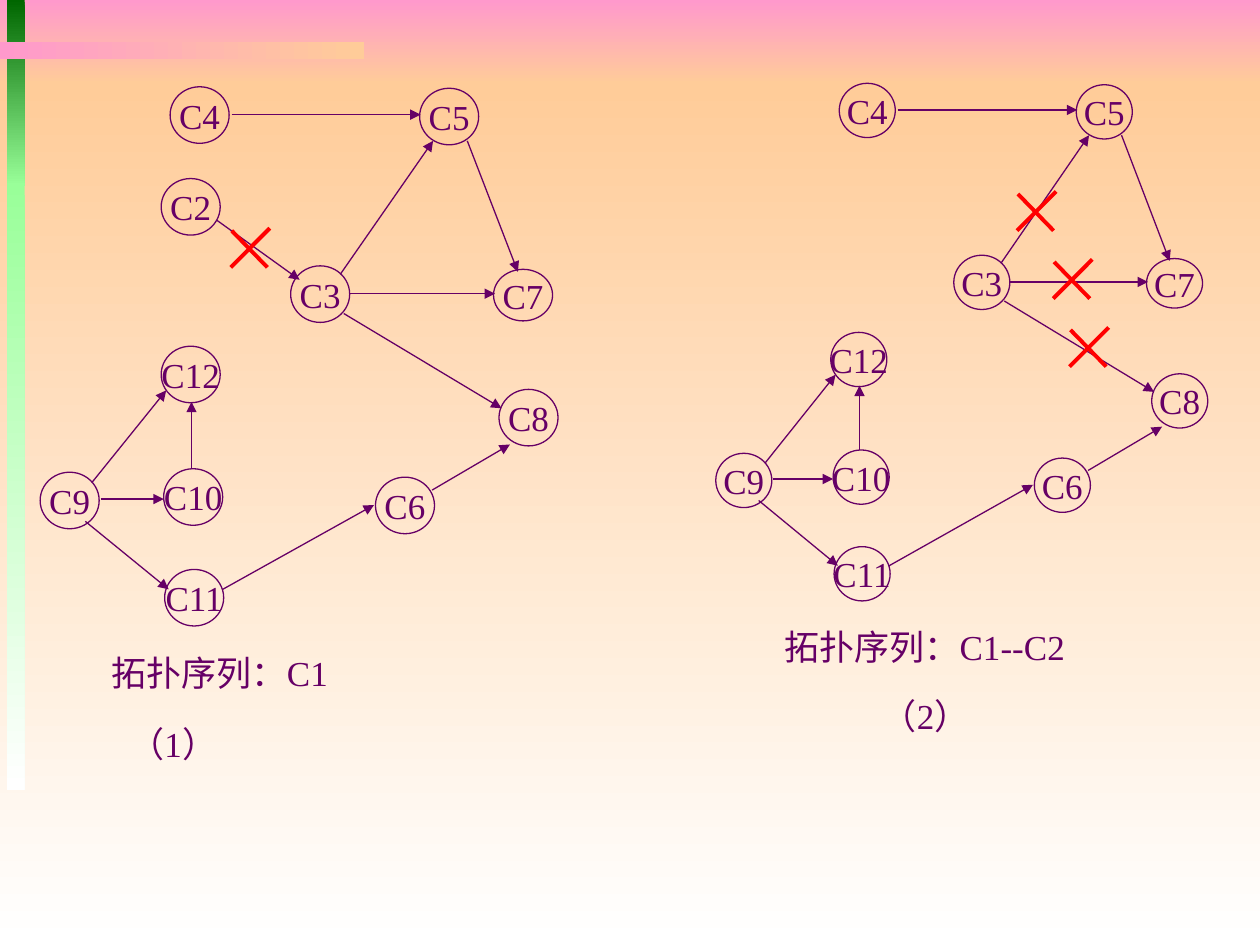
import pptx
import pptx.dml.color
import pptx.enum.shapes
import pptx.enum.text
import pptx.oxml.ns
import pptx.util
from lxml import etree
from pptx.util import Cm

COLORS = {
    "ink": "660066", "cross": "FF0000", "pink": "FF99CC", "peach": "FFCC99",
    "white": "FFFFFF", "dark_green": "006600", "light_green": "99FF99",
}
FONT = "Times New Roman"
NODE_WIDTH, NODE_HEIGHT = 1.19, 1.14
CROSS = 0.79

NODES = {
    "C2": (2.44, 1.85), "C3": (5.05, 3.61), "C4": (2.62, 0), "C5": (7.65, 0.03),
    "C6": (6.76, 7.87), "C7": (9.14, 3.68), "C8": (9.25, 6.1), "C9": (0, 7.77),
    "C10": (2.49, 7.7), "C11": (2.51, 9.73), "C12": (2.44, 5.23),
}
NODE_HEIGHTS = {"C7": 1.04}
EDGES = {
    ("C2", "C3"): ((3.56, 2.69), (5.23, 3.89)),
    ("C4", "C5"): ((3.86, 0.56), (7.67, 0.56)),
    ("C3", "C5"): ((6.05, 3.78), (7.92, 1.09)),
    ("C3", "C7"): ((6.25, 4.17), (9.17, 4.17)),
    ("C5", "C7"): ((8.61, 1.09), (9.63, 3.73)),
    ("C9", "C12"): ((1.04, 7.98), (2.54, 6.12)),
    ("C9", "C10"): ((1.22, 8.31), (2.49, 8.31)),
    ("C10", "C12"): ((3.05, 7.7), (3.05, 6.35)),
    ("C9", "C11"): ((0.91, 8.76), (2.59, 10.13)),
    ("C11", "C6"): ((3.68, 10.13), (6.73, 8.43)),
    ("C6", "C8"): ((7.9, 8.13), (9.47, 7.21)),
    ("C3", "C8"): ((6.12, 4.57), (9.3, 6.48)),
}


def rgb(name):
    """Return the named colour."""
    return pptx.dml.color.RGBColor.from_string(COLORS[name])


def write(shape, text):
    """Put one unwrapped line of text in a shape."""
    frame = shape.text_frame
    frame.text = text
    frame.word_wrap = False
    font = frame.paragraphs[0].runs[0].font
    font.name, font.size = FONT, pptx.util.Pt(20)
    font.color.rgb = rgb("ink")
    return frame


def add_band(page, box, first, last, angle):
    """Draw a borderless rectangle with a two-colour gradient."""
    band = page.shapes.add_shape(
        pptx.enum.shapes.MSO_SHAPE.RECTANGLE, *(Cm(value) for value in box))
    band.shadow.inherit = False
    band.line.fill.background()
    band.fill.gradient()
    band.fill.gradient_angle = angle
    for stop, name in zip(band.fill.gradient_stops, (first, last)):
        stop.color.rgb = rgb(name)


def add_background(page):
    """Draw the page gradient, the green side strip and the top bar."""
    add_band(page, (0, 0, 25.4, 1.7), "pink", "peach", 270)
    add_band(page, (0, 1.7, 25.4, 17.35), "peach", "white", 270)
    add_band(page, (0.14, 0, 0.36, 3.75), "dark_green", "light_green", 270)
    add_band(page, (0.14, 3.7, 0.36, 12.23), "light_green", "white", 270)
    add_band(page, (0, 0.84, 7.34, 0.36), "pink", "peach", 0)


def add_line(page, start, end, color, width, arrow=False):
    """Draw a straight line, with an arrowhead at its end if asked."""
    line = page.shapes.add_connector(
        pptx.enum.shapes.MSO_CONNECTOR.STRAIGHT,
        *(Cm(value) for value in (*start, *end)))
    line.line.color.rgb = rgb(color)
    line.line.width = pptx.util.Pt(width)
    properties = line._element.spPr
    if arrow:
        outline = properties.find(pptx.oxml.ns.qn("a:ln"))
        etree.SubElement(outline, pptx.oxml.ns.qn("a:tailEnd"), type="triangle")
    etree.SubElement(properties, pptx.oxml.ns.qn("a:effectLst"))


def add_node(page, name, left, top, width, height):
    """Draw a hollow circle with its course name."""
    node = page.shapes.add_shape(
        pptx.enum.shapes.MSO_SHAPE.OVAL, Cm(left), Cm(top), Cm(width), Cm(height))
    node.shadow.inherit = False
    node.fill.background()
    node.line.color.rgb = rgb("ink")
    node.line.width = pptx.util.Pt(0.75)
    frame = write(node, name)
    frame.vertical_anchor = pptx.enum.text.MSO_ANCHOR.MIDDLE
    frame.paragraphs[0].alignment = pptx.enum.text.PP_ALIGN.CENTER


def add_caption(page, text, left, top, width):
    """Place a line of text under a graph."""
    caption = page.shapes.add_textbox(Cm(left), Cm(top), Cm(width), Cm(1.11))
    frame = write(caption, text)
    frame.auto_size = pptx.enum.text.MSO_AUTO_SIZE.SHAPE_TO_FIT_TEXT


def add_cross(page, left, top):
    """Draw a red cross in a square."""
    right, bottom = left + CROSS, top + CROSS
    add_line(page, (left + 0.02, top + 0.05), (right - 0.05, bottom), "cross", 2.25)
    add_line(page, (right, top), (left, bottom), "cross", 2.25)


def add_graph(page, left, top, scale, removed, sequence, number, crosses):
    """Draw one step of the sort, scaled from the given corner."""
    across, down = scale

    def place(point):
        """Turn a graph point into a page point."""
        return left + point[0] * across, top + point[1] * down

    for name, corner in NODES.items():
        if name not in removed:
            height = NODE_HEIGHTS.get(name, NODE_HEIGHT)
            add_node(page, name, *place(corner), NODE_WIDTH * across, height * down)
    for ends, (start, end) in EDGES.items():
        if not removed.intersection(ends):
            add_line(page, place(start), place(end), "ink", 0.75, arrow=True)
    text, width = sequence
    add_caption(page, text, *place((1.19, 11.25)), width)
    text, indent = number
    add_caption(page, text, *place((indent, 12.7)), 2.62)
    for x, y in crosses:
        add_cross(page, left + x, top + y)


def main():
    """Build the slide and save it."""
    deck = pptx.Presentation()
    deck.slide_width, deck.slide_height = Cm(25.4), Cm(19.05)
    page = deck.slides.add_slide(deck.slide_layouts[6])
    add_background(page)
    add_graph(page, 0.81, 1.75, (1, 1), set(),
              ("拓扑序列：C1", 5.03), ("（1）", 1.55), [(3.84, 2.85)])
    add_graph(page, 14.43, 1.68, (0.95, 0.96), {"C2"},
              ("拓扑序列：C1--C2", 6.32), ("（2）", 3.26),
              [(6.07, 2.18), (6.8, 3.55), (7.13, 4.92)])
    deck.save("out.pptx")


if __name__ == "__main__":
    main()
